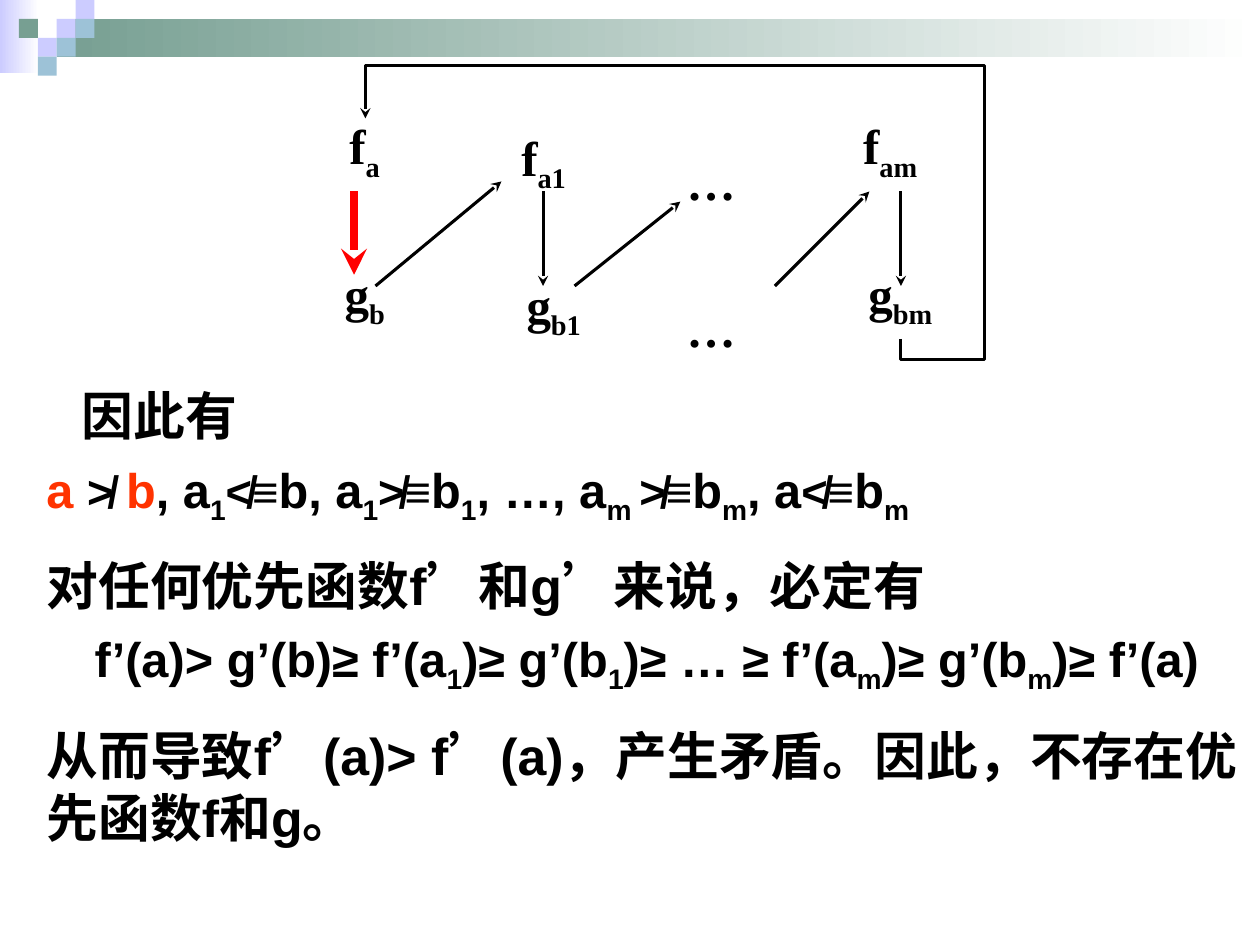
from lxml import etree
from pptx import Presentation, util as u
from pptx.dml.color import RGBColor
from pptx.enum import shapes, text
from pptx.oxml.ns import qn

COLORS = {"lilac": "CCCCFF", "green": "779F92", "blue": "9DC2D7", "white": "FFFFFF",
          "black": "000000", "red": "FF0000", "orange": "FF3300"}
W, H = 10, 7.5
CELL = 0.15
BANDS = [(0, 0, 0.31, 0.58, "lilac"), (3 * CELL, CELL, W - 3 * CELL, 2 * CELL, "green")]
TILES = [(3, 1, "lilac"), (4, 0, "lilac"), (4, 1, "blue"), (2, 2, "lilac"),
         (1, 1, "green"), (3, 2, "blue"), (2, 3, "blue")]

HAN, LATIN, SIGN = 29.6, 27.8, 25.9
LEFT, CENTER = text.PP_ALIGN.LEFT, text.PP_ALIGN.CENTER


def lat(s, color="black"):
    return s, LATIN, color, False


def sub(s):
    return s, LATIN, "black", True


def sign(s):
    return s, SIGN, "black", False


def han(s):
    return s, HAN, "black", False


BODY = [
    (0, 0.28, LEFT, [han("因此有")]),
    (7.5, 0, LEFT, [
        lat("a ", "orange"), sign("≯ "), lat("b", "orange"), lat(", a"), sub("1"),
        sign("≮≡"), lat("b, a"), sub("1"), sign("≯≡"), lat("b"), sub("1"),
        lat(", …, a"), sub("m "), sign("≯≡"), lat("b"), sub("m"), lat(", a"),
        sign("≮≡"), lat("b"), sub("m")]),
    (16, 0, LEFT, [han("对任何优先函数f’和g’来说，必定有")]),
    (7.5, 0, CENTER, [
        lat("f’(a)> g’(b)≥ f’(a"), sub("1"), lat(")≥ g’(b"), sub("1"),
        lat(")≥ … ≥ f’(a"), sub("m"), lat(")≥ g’(b"), sub("m"), lat(")≥ f’(a)")]),
    (16, 0, LEFT, [han("从而导致f’(a)> f’(a)，产生矛盾。因此，不存在优先函数f和g。")]),
]

NODE_W, NODE_H, ROW_GAP = 0.83, 0.67, 1.17
NODES = [(3.9, 0.94, 0, "f", "a1"), (2.48, 0.85, 0, "f", "a"), (6.65, 0.85, 0, "f", "am"),
         (3.98, 0.94, 1, "g", "b1"), (2.48, 0.85, 1, "g", "b"), (6.73, 0.85, 1, "g", "bm"),
         (5.23, 1.1, 0, "…", ""), (5.23, 1.1, 1, "…", "")]
TOP, BOTTOM = 1.52, 2.27
ARROWS = [((2.81, TOP), (2.81, 2.18), "red", 5),
          ((2.98, BOTTOM), (3.98, 1.44), "black", 1.75),
          ((4.31, TOP), (4.31, BOTTOM), "black", 1.75),
          ((4.56, BOTTOM), (5.4, 1.6), "black", 1.75),
          ((6.15, BOTTOM), (6.9, TOP), "black", 1.75),
          ((7.15, TOP), (7.15, BOTTOM), "black", 1.75)]
LOOP = [(7.15, 2.69), (7.15, 2.85), (7.81, 2.85), (7.81, 0.52), (2.9, 0.52), (2.9, 0.94)]


def rgb(name):
    return RGBColor.from_string(COLORS[name])


def inches(*values):
    return [u.Inches(v) for v in values]


def add_rect(s, x, y, w, h, color, fade=False):
    sp = s.shapes.add_shape(shapes.MSO_SHAPE.RECTANGLE, *inches(x, y, w, h))
    sp.shadow.inherit = False
    sp.line.fill.background()
    if fade:
        sp.fill.gradient()
        sp.fill.gradient_angle = 0
        for stop, name in zip(sp.fill.gradient_stops, (color, "white")):
            stop.color.rgb = rgb(name)
    else:
        sp.fill.solid()
        sp.fill.fore_color.rgb = rgb(color)


def add_run(p, content, size, color, lowered, font):
    r = p.add_run()
    r.text = content
    r.font.name, r.font.size, r.font.bold = font, u.Pt(size), True
    r.font.color.rgb = rgb(color)
    if lowered:
        r.font._element.set("baseline", "-25000")


def add_body(s):
    tf = s.shapes.add_textbox(*inches(0.27, 3, 9.73, 4)).text_frame
    tf.word_wrap = True
    for i, (before, indent, align, runs) in enumerate(BODY):
        p = tf.add_paragraph() if i else tf.paragraphs[0]
        p.alignment, p.space_before = align, u.Pt(before)
        if indent:
            p._p.get_or_add_pPr().set("indent", str(u.Inches(indent)))
        for run in runs:
            add_run(p, *run, "Arial")


def add_node(s, x, y, row, letter, index):
    tf = s.shapes.add_textbox(*inches(x, y + row * ROW_GAP, NODE_W, NODE_H)).text_frame
    tf.word_wrap = False
    tf.vertical_anchor = text.MSO_ANCHOR.MIDDLE
    p = tf.paragraphs[0]
    p.alignment = CENTER
    for content, lowered in ((letter, False), (index, True)):
        if content:
            add_run(p, content, 28, "black", lowered, "Times New Roman")


def style_arrow(sp, color, width):
    sp.line.color.rgb = rgb(color)
    sp.line.width = u.Pt(width)
    etree.SubElement(sp.line._get_or_add_ln(), qn("a:tailEnd"), type="stealth")


def add_arrow(s, start, end, color, width):
    sp = s.shapes.add_connector(shapes.MSO_CONNECTOR.STRAIGHT, *inches(*start, *end))
    style_arrow(sp, color, width)
    etree.SubElement(sp._element.spPr, qn("a:effectLst"))


def add_loop(s):
    points = [inches(*point) for point in LOOP]
    builder = s.shapes.build_freeform(*points[0])
    builder.add_line_segments(points[1:], close=False)
    sp = builder.convert_to_shape()
    sp.fill.background()
    style_arrow(sp, "black", 1.75)
    sp.shadow.inherit = False


def main():
    prs = Presentation()
    prs.slide_width, prs.slide_height = inches(W, H)
    s = prs.slides.add_slide(prs.slide_layouts[6])
    for band in BANDS:
        add_rect(s, *band, fade=True)
    for col, row, color in TILES:
        add_rect(s, col * CELL, row * CELL, CELL, CELL, color)
    add_body(s)
    for node in NODES:
        add_node(s, *node)
    for arrow in ARROWS:
        add_arrow(s, *arrow)
    add_loop(s)
    prs.save("out.pptx")


if __name__ == "__main__":
    main()
